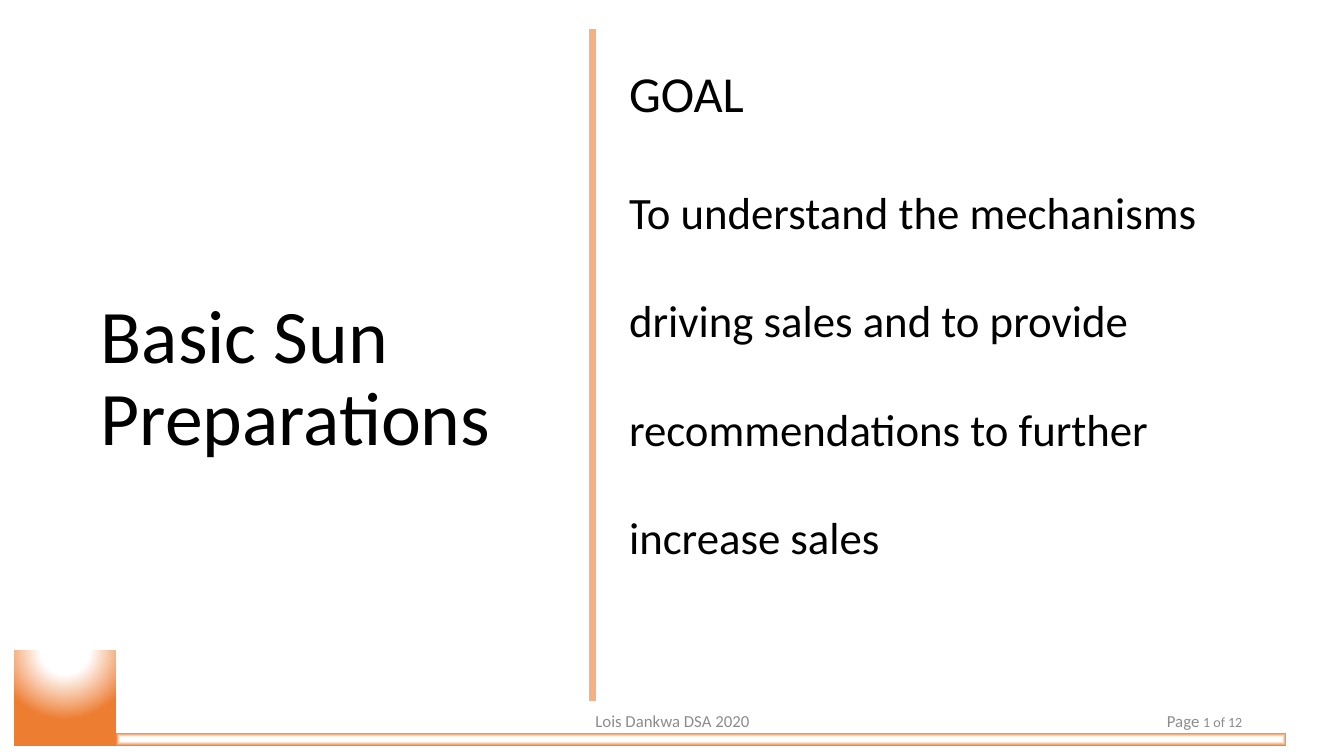
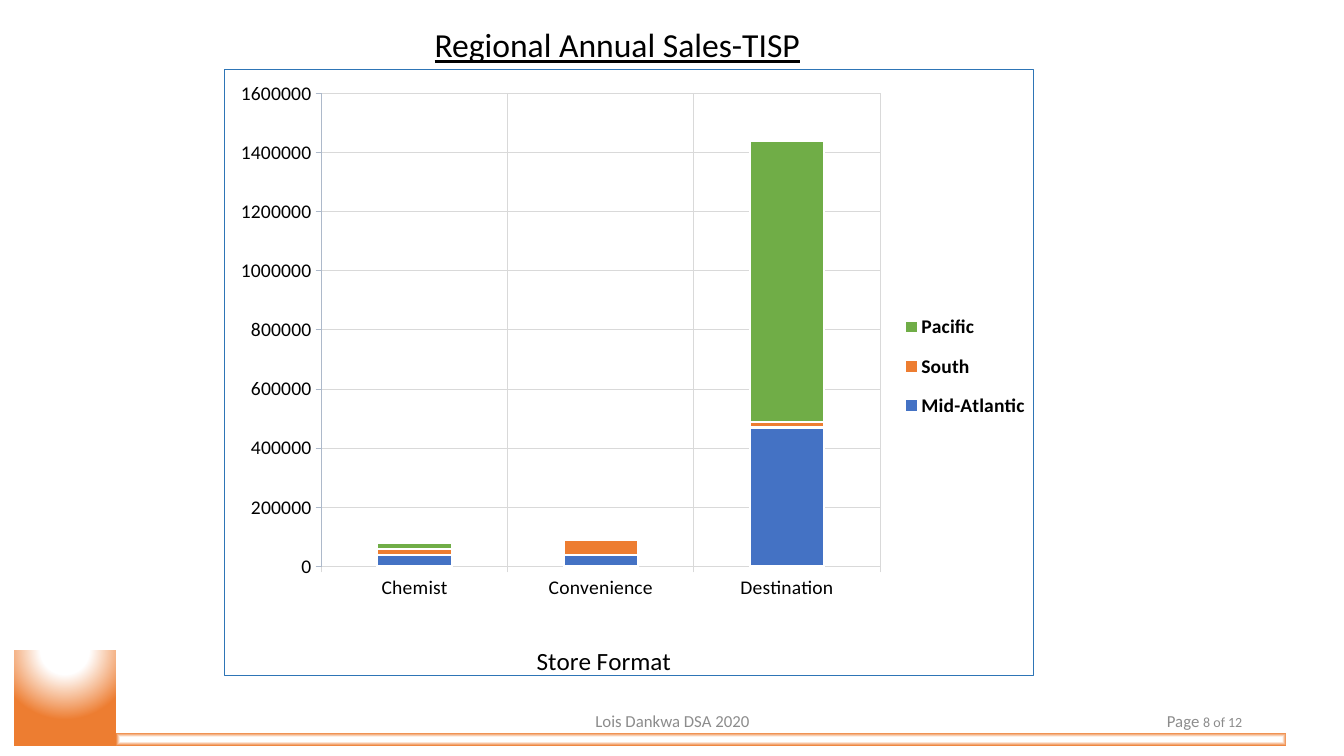
from lxml import etree
from pptx import Presentation
from pptx import util as u
from pptx.chart.data import CategoryChartData
from pptx.dml.color import RGBColor
from pptx.enum import chart as charts, shapes, text
from pptx.oxml import parse_xml
from pptx.oxml.ns import nsdecls, qn

WIDE, HIGH = 13.33, 7.5
FONT, INK, GREY, WHITE = "Calibri", "000000", "8C8C8C", "FFFFFF"
ORANGE, PEACH, RULE, AXIS, BORDER = "ED7D31", "F4B183", "D9D9D9", "ADB9CA", "2E75B6"
FOOT_TOP, FOOT_HIGH = 6.95, 0.4
PAGES = 12
LEFT, CENTER, RIGHT = text.PP_ALIGN.LEFT, text.PP_ALIGN.CENTER, text.PP_ALIGN.RIGHT
GLOW_STOPS = ((0, WHITE), (35, WHITE), (100, ORANGE))


def color(hex_code):
    """Turn a hex string into a colour."""
    return RGBColor.from_string(hex_code)


def inches(*lengths):
    """Turn numbers into lengths in inches."""
    return [u.Inches(length) for length in lengths]


def style_font(font, size, hex_code=INK, bold=False, underline=None):
    """Format a font in the deck's typeface."""
    font.name, font.size, font.bold = FONT, u.Pt(size), bold
    font.color.rgb = color(hex_code)
    if underline:
        font.underline = True


def style_line(line, hex_code, width):
    """Give a line its colour and width in points."""
    line.color.rgb, line.width = color(hex_code), u.Pt(width)


def write(box, paragraphs, align=LEFT, anchor=text.MSO_ANCHOR.TOP, wrap=True,
          spacing=1.0, **look):
    """Fill a box with paragraphs of (text, size) runs and a gap after each."""
    frame = box.text_frame
    frame.auto_size = text.MSO_AUTO_SIZE.NONE
    frame.word_wrap, frame.vertical_anchor = wrap, anchor
    for number, (runs, gap) in enumerate(paragraphs):
        paragraph = frame.add_paragraph() if number else frame.paragraphs[0]
        paragraph.alignment, paragraph.line_spacing = align, spacing
        paragraph.space_before, paragraph.space_after = u.Pt(0), u.Pt(gap)
        for words, size in runs:
            run = paragraph.add_run()
            run.text = words
            style_font(run.font, size, **look)


def add_text(slide, at, paragraphs, **look):
    """Add a text box."""
    write(slide.shapes.add_textbox(*inches(*at)), paragraphs, **look)


def set_title(slide, at, words, size, **look):
    """Move and format the title placeholder."""
    title = slide.shapes.title
    title.left, title.top, title.width, title.height = inches(*at)
    write(title, [([(words, size)], 0)], **look)


def add_glow(slide, at, kind, top, bottom):
    """Add a rectangle that glows from white to orange."""
    block = slide.shapes.add_shape(shapes.MSO_SHAPE.RECTANGLE, *inches(*at))
    block.shadow.inherit = False
    block.line.fill.background()
    stops = "".join(f'<a:gs pos="{place * 1000}"><a:srgbClr val="{shade}"/></a:gs>'
                    for place, shade in GLOW_STOPS)
    gradient = parse_xml(
        f'<a:gradFill {nsdecls("a")} rotWithShape="1"><a:gsLst>{stops}</a:gsLst>'
        f'<a:path path="{kind}"><a:fillToRect l="50000" t="{top * 1000}" '
        f'r="50000" b="{bottom * 1000}"/></a:path></a:gradFill>')
    block._element.spPr.find(qn("a:prstGeom")).addnext(gradient)


def add_slide(deck, page):
    """Add a slide with the shared footer and orange band."""
    slide = deck.slides.add_slide(deck.slide_layouts[5])
    middle = text.MSO_ANCHOR.MIDDLE
    add_text(slide, (4.42, FOOT_TOP, 4.5, FOOT_HIGH), [([("Lois Dankwa DSA 2020", 12)], 0)],
             align=CENTER, anchor=middle, hex_code=GREY)
    add_text(slide, (11.34, FOOT_TOP, 1.08, FOOT_HIGH),
             [([("Page ", 12), (f"{page} of {PAGES}", 10)], 0)],
             align=RIGHT, anchor=middle, hex_code=GREY)
    add_glow(slide, (0.14, 6.45, 1.01, 0.95), "circle", -80, 180)
    add_glow(slide, (1.15, 7.27, 11.61, 0.13), "rect", 50, 50)
    return slide


def add_rule(slide, x, top, bottom):
    """Add the upright divider."""
    rule = slide.shapes.add_connector(shapes.MSO_CONNECTOR.STRAIGHT,
                                      *inches(x, top, x, bottom))
    style_line(rule.line, PEACH, 5)
    etree.SubElement(rule._element.spPr, qn("a:effectLst"))


def place(part, index, **shares):
    """Lay out a chart part by shares of the chart's size."""
    for old in part.findall(qn("c:layout")):
        part.remove(old)
    modes = '<c:xMode val="edge"/><c:yMode val="edge"/>'
    inner = '<c:layoutTarget val="inner"/>' if index == 0 else ""
    sizes = "".join(f'<c:{side} val="{share}"/>' for side, share in shares.items())
    part.insert(index, parse_xml(
        f'<c:layout {nsdecls("c")}><c:manualLayout>{inner}{modes}{sizes}'
        '</c:manualLayout></c:layout>'))


def style_axis(axis, line_color, tick):
    """Format an axis, its labels and its grid."""
    style_font(axis.tick_labels.font, 14)
    axis.major_tick_mark, axis.minor_tick_mark = tick, charts.XL_TICK_MARK.NONE
    axis.has_major_gridlines = True
    style_line(axis.format.line, line_color, 0.75)
    style_line(axis.major_gridlines.format.line, RULE, 0.75)


def add_sales_chart(slide, at, formats, regions):
    """Add the stacked columns of sales by store format and region."""
    sales = CategoryChartData()
    sales.categories = formats
    for region, amounts, _ in regions:
        sales.add_series(region, amounts)
    chart = slide.shapes.add_chart(charts.XL_CHART_TYPE.COLUMN_STACKED,
                                   *inches(*at), sales).chart
    chart.has_title = False
    style_font(chart.font, 10)
    plot = chart.plots[0]
    plot.gap_width, plot.overlap, plot.vary_by_categories = 150, 100, False
    for series, (_, _, shade) in zip(plot.series, regions):
        series.format.fill.solid()
        series.format.fill.fore_color.rgb = color(shade)
        style_line(series.format.line, WHITE, 1.5)

    store_axis, sales_axis = chart.category_axis, chart.value_axis
    style_axis(store_axis, RULE, charts.XL_TICK_MARK.CROSS)
    style_axis(sales_axis, AXIS, charts.XL_TICK_MARK.OUTSIDE)
    sales_axis.minimum_scale, sales_axis.maximum_scale = 0, 1600000
    sales_axis.major_unit = 200000
    store_axis.has_title = True
    caption = store_axis.axis_title.text_frame
    caption.text = "Store Format"
    style_font(caption.paragraphs[0].runs[0].font, 18)

    chart.has_legend = True
    chart.legend.position = charts.XL_LEGEND_POSITION.RIGHT
    chart.legend.include_in_layout = False
    style_font(chart.legend.font, 14, bold=True)
    place(chart._chartSpace.chart.plotArea, 0, x=0.12, y=0.04, w=0.69, h=0.78)
    place(store_axis.axis_title._element, 1, x=0.38, y=0.94)
    place(chart.legend._element, 1, x=0.83, y=0.38, w=0.17, h=0.22)
    chart._chartSpace.find(qn("c:txPr")).addprevious(parse_xml(
        f'<c:spPr {nsdecls("c", "a")}><a:noFill/><a:ln w="9525"><a:solidFill>'
        f'<a:srgbClr val="{BORDER}"/></a:solidFill></a:ln></c:spPr>'))


def main():
    """Build and save the deck."""
    deck = Presentation()
    deck.slide_width, deck.slide_height = inches(WIDE, HIGH)

    goal = add_slide(deck, 1)
    set_title(goal, (0.9, 1.29, 4.5, 4.96), "Basic Sun Preparations", 54,
              anchor=text.MSO_ANCHOR.MIDDLE, spacing=0.9)
    aims = ("To understand the mechanisms", "driving sales and to provide",
            "recommendations to further", "increase sales")
    add_text(goal, (6.14, 0.57, 6.62, 6.29),
             [([("GOAL", 36)], 44)] + [([(aim, 32)], 39) for aim in aims])
    add_rule(goal, 5.88, 0.29, FOOT_TOP)

    regional = add_slide(deck, 8)
    add_sales_chart(regional, (2.22, 0.68, 8.04, 6.11),
                    ("Chemist", "Convenience", "Destination"),
                    (("Mid-Atlantic", (40000, 40000, 470000), "4472C4"),
                     ("South", (20000, 50000, 20000), ORANGE),
                     ("Pacific", (20000, None, 950000), "70AD47")))
    set_title(regional, (4.21, 0.19, 3.86, 0.5), "Regional Annual Sales-TISP", 24,
              wrap=False, underline=True)

    deck.save("out.pptx")


if __name__ == "__main__":
    main()
